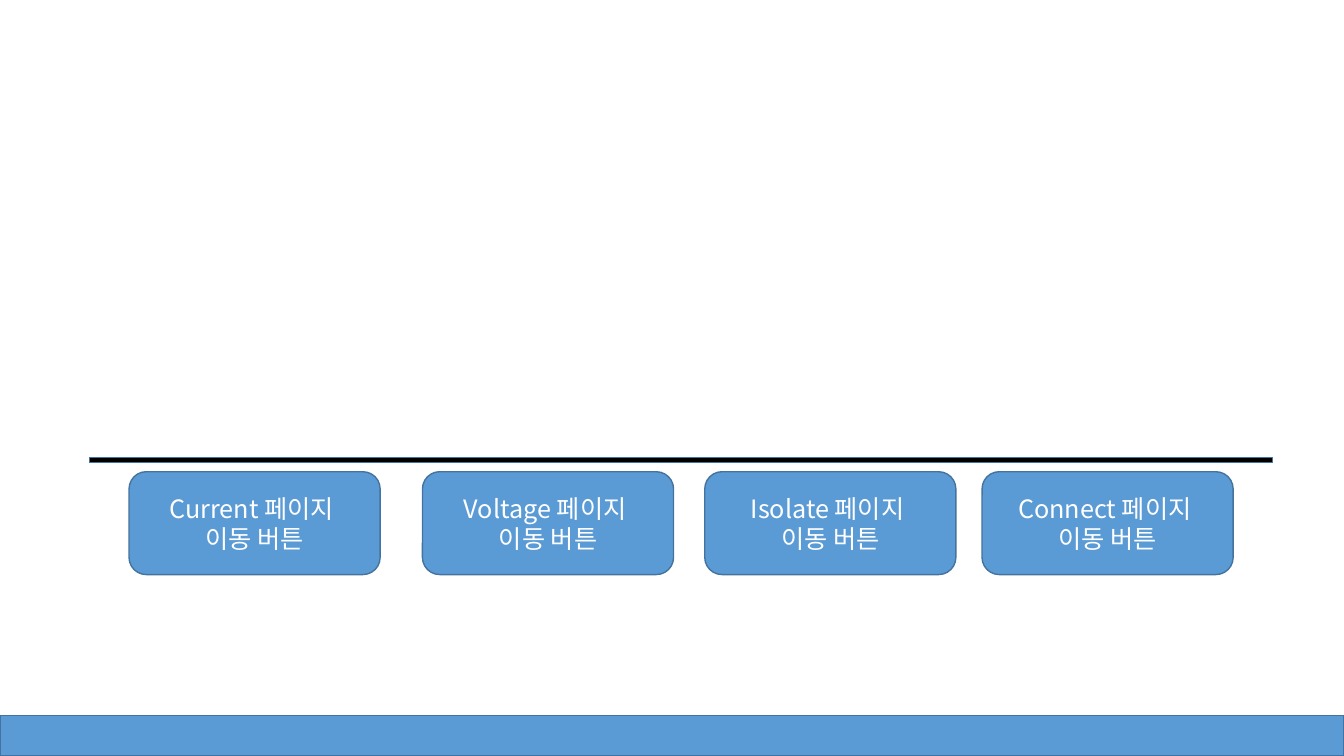
"""Build a slide with four page navigation buttons under a divider and a footer bar."""
from lxml import etree
from pptx import Presentation
from pptx.dml.color import RGBColor
from pptx.enum.shapes import MSO_SHAPE
from pptx.enum.text import MSO_ANCHOR, PP_ALIGN
from pptx.oxml.ns import qn
from pptx.util import Inches, Pt

BLUE = RGBColor(0x5B, 0x9B, 0xD5)
DARK_BLUE = RGBColor(0x43, 0x73, 0x9E)
BLACK = RGBColor(0x00, 0x00, 0x00)
WHITE = RGBColor(0xFF, 0xFF, 0xFF)
FONT = "Noto Sans CJK KR"

presentation = Presentation()
presentation.slide_width = Inches(13.33)
presentation.slide_height = Inches(7.5)
slide = presentation.slides.add_slide(presentation.slide_layouts[6])


def add_box(preset, left, top, width, height, fill):
    shape = slide.shapes.add_shape(
        preset, Inches(left), Inches(top), Inches(width), Inches(height)
    )
    shape.shadow.inherit = False
    shape.fill.solid()
    shape.fill.fore_color.rgb = fill
    shape.line.color.rgb = DARK_BLUE
    shape.line.width = Pt(1)
    return shape


buttons = [("Current", 1.28), ("Voltage", 4.19), ("Isolate", 6.99), ("Connect", 9.74)]
for page, left in buttons:
    button = add_box(MSO_SHAPE.ROUNDED_RECTANGLE, left, 4.68, 2.49, 1.02, BLUE)
    text_frame = button.text_frame
    text_frame.word_wrap = True
    text_frame.vertical_anchor = MSO_ANCHOR.MIDDLE
    text_frame.add_paragraph()
    for paragraph, text in zip(text_frame.paragraphs, (f"{page} 페이지 ", "이동 버튼")):
        paragraph.alignment = PP_ALIGN.CENTER
        run = paragraph.add_run()
        run.text = text
        run.font.size = Pt(18)
        run.font.color.rgb = WHITE
        run.font.name = FONT
        east_asian = etree.SubElement(run.font._element, qn("a:ea"))
        east_asian.set("typeface", FONT)

add_box(MSO_SHAPE.RECTANGLE, 0.89, 4.54, 11.73, 0.05, BLACK)
add_box(MSO_SHAPE.RECTANGLE, 0, 7.1, 13.33, 0.4, BLUE)

presentation.save("out.pptx")
